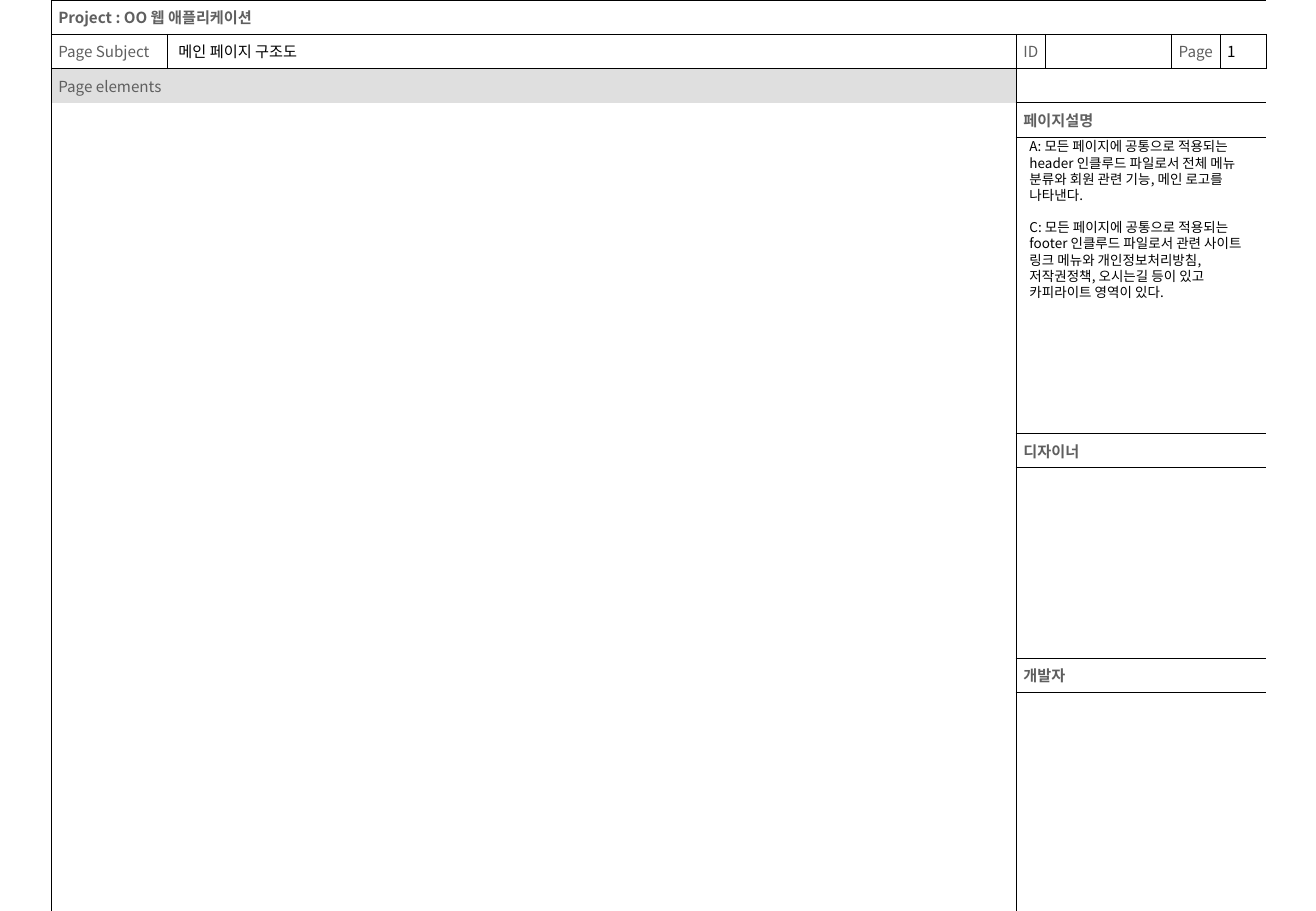
"""Build a storyboard page sheet with a header grid and a notes column."""
import lxml.etree
import pptx
import pptx.dml.color
import pptx.enum.text
import pptx.oxml.ns
import pptx.util

Inches = pptx.util.Inches
Pt = pptx.util.Pt
qn = pptx.oxml.ns.qn

BLACK = pptx.dml.color.RGBColor(0x00, 0x00, 0x00)
GRAY = pptx.dml.color.RGBColor(0x5F, 0x5F, 0x5F)
BAND = pptx.dml.color.RGBColor(0xDF, 0xDF, 0xDF)
FONT = "Noto Sans CJK KR"
MIDDLE = pptx.enum.text.MSO_ANCHOR.MIDDLE

COLS = [0.96, 6.99, 0.24, 1.04, 0.4, 0.38]
ROWS = [0.27, 0.27, 0.27, 0.27, 2.44, 0.27, 1.57, 0.27, 1.86]
OUTER, INNER = 0.23, 0.45

LABEL = {"size": Pt(9), "bold": False}
HEADING = {"size": Pt(9), "bold": True}
NOTE = {"size": Pt(8), "bold": False}

REGIONS = [
    (0, 0, 1, 6, "Project : OO 웹 애플리케이션", HEADING, GRAY),
    (1, 0, 1, 1, "Page Subject", LABEL, GRAY),
    (1, 1, 1, 1, "메인 페이지 구조도", LABEL, BLACK),
    (1, 2, 1, 1, "ID", LABEL, GRAY),
    (1, 3, 1, 1, "", LABEL, BLACK),
    (1, 4, 1, 1, "Page", LABEL, GRAY),
    (1, 5, 1, 1, "1", LABEL, BLACK),
    (2, 0, 1, 2, "Page elements", LABEL, GRAY),
    (2, 2, 1, 4, "", LABEL, BLACK),
    (3, 0, 6, 2, "", LABEL, BLACK),
    (3, 2, 1, 4, "페이지설명", HEADING, GRAY),
    (4, 2, 1, 4, "", LABEL, BLACK),
    (5, 2, 1, 4, "디자이너", HEADING, GRAY),
    (6, 2, 1, 4, "", LABEL, BLACK),
    (7, 2, 1, 4, "개발자", HEADING, GRAY),
    (8, 2, 1, 4, "", LABEL, BLACK),
]
NOTES = [
    "A: 모든 페이지에 공통으로 적용되는 header 인클루드 파일로서 전체 메뉴 분류와 "
    "회원 관련 기능, 메인 로고를 나타낸다.",
    "C: 모든 페이지에 공통으로 적용되는 footer 인클루드 파일로서 관련 사이트 링크 메뉴와 "
    "개인정보처리방침, 저작권정책, 오시는길 등이 있고 카피라이트 영역이 있다.",
]


def add_text(p, text, style, color):
    """Write one styled run, or size the paragraph if it is empty."""
    if not text:
        end = lxml.etree.SubElement(p._p, qn("a:endParaRPr"))
        end.set("sz", str(int(style["size"].pt * 100)))
        return
    r = p.add_run()
    r.text = text
    for name, value in style.items():
        setattr(r.font, name, value)
    r.font.color.rgb = color
    r.font.name = FONT
    ea = lxml.etree.SubElement(r._r.get_or_add_rPr(), qn("a:ea"))
    ea.set("typeface", FONT)


def add_border(cell, side, width):
    """Draw one cell edge, or hide it when the width is zero."""
    ln = lxml.etree.SubElement(cell._tc.get_or_add_tcPr(), qn(f"a:ln{side}"))
    ln.set("w", str(int(Pt(width))))
    if width:
        fill = lxml.etree.SubElement(ln, qn("a:solidFill"))
        lxml.etree.SubElement(fill, qn("a:srgbClr")).set("val", str(BLACK))
    else:
        lxml.etree.SubElement(ln, qn("a:noFill"))


def edge_width(side, row, col):
    """Return the line width for one edge of the cell at row and col."""
    if col < 2 and (side, row) in (("B", 2), ("T", 3)):
        return 0
    on_frame = {"L": col == 0, "R": col == len(COLS) - 1,
                "T": row == 0, "B": row == len(ROWS) - 1}
    return OUTER if on_frame[side] else INNER


def add_region(table, row, col, height, width, text, style, color):
    """Fill one block of the grid, merged where it spans several cells."""
    last_row, last_col = row + height - 1, col + width - 1
    for i in range(row, last_row + 1):
        for j in range(col, last_col + 1):
            cell = table.cell(i, j)
            edges = {"L": j == col, "R": j == last_col,
                     "T": i == row, "B": i == last_row}
            for side, on_edge in edges.items():
                add_border(cell, side, edge_width(side, i, j) if on_edge else 0)
            if text == "Page elements":
                cell.fill.solid()
                cell.fill.fore_color.rgb = BAND
            else:
                cell.fill.background()
            margins = {"margin_left": Inches(0.09 if (i, j) == (1, 1) else 0.06),
                       "margin_right": Inches(0.03 if text in ("ID", "Page") else 0.06),
                       "margin_top": Inches(0.05), "margin_bottom": Inches(0.05),
                       "vertical_anchor": MIDDLE}
            for name, value in margins.items():
                setattr(cell, name, value)
            add_text(cell.text_frame.paragraphs[0],
                     text if (i, j) == (row, col) else "", style, color)
    if height * width > 1:
        table.cell(row, col).merge(table.cell(last_row, last_col))


def add_sheet(s):
    """Add the page grid."""
    frame = s.shapes.add_table(len(ROWS), len(COLS), Inches(0.42), Inches(0),
                               Inches(sum(COLS)), Inches(sum(ROWS)))
    table = frame.table
    table.first_row = table.horz_banding = False
    for column, width in zip(table.columns, COLS):
        column.width = Inches(width)
    for row, height in zip(table.rows, ROWS):
        row.height = Inches(height)
    for region in REGIONS:
        add_region(table, *region)


def add_notes(s):
    """Add the page description text."""
    sp = s.shapes.add_textbox(Inches(8.37), Inches(1.08), Inches(2.05), Inches(1.44))
    tf = sp.text_frame
    settings = {"word_wrap": True, "margin_left": Inches(0.11),
                "margin_right": Inches(0.11), "margin_top": Inches(0.06),
                "margin_bottom": Inches(0.06)}
    for name, value in settings.items():
        setattr(tf, name, value)
    for i, text in enumerate(NOTES):
        p = tf.add_paragraph() if i else tf.paragraphs[0]
        if i:
            p.space_before = Pt(9.6)
        add_text(p, text, NOTE, BLACK)


def main():
    """Build and save the slide."""
    prs = pptx.Presentation()
    prs.slide_width, prs.slide_height = Inches(10.84), Inches(7.5)
    s = prs.slides.add_slide(prs.slide_layouts[6])
    add_sheet(s)
    add_notes(s)
    prs.save("out.pptx")


if __name__ == "__main__":
    main()
